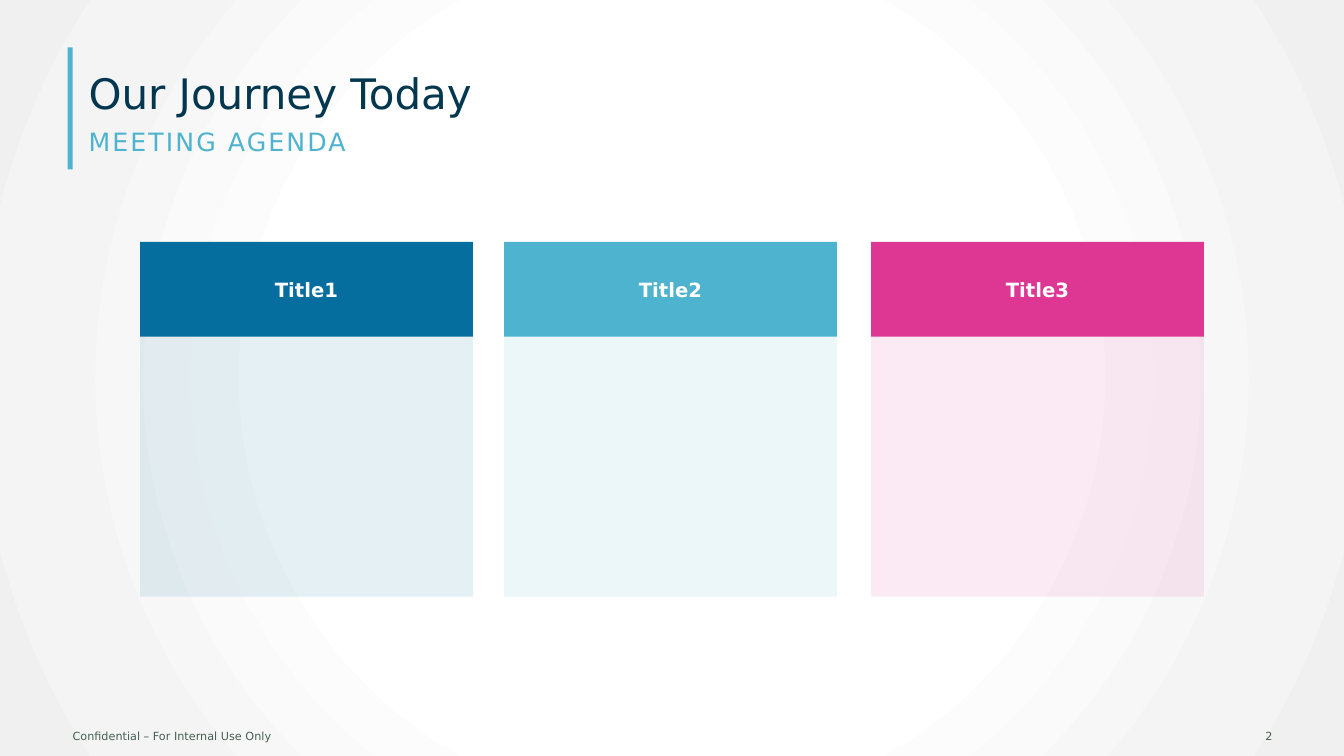
from dataclasses import dataclass

from lxml.etree import SubElement
from pptx import Presentation
from pptx.dml.color import RGBColor
from pptx.enum.shapes import MSO_SHAPE
from pptx.enum.text import MSO_ANCHOR, PP_ALIGN
from pptx.oxml.ns import qn
from pptx.shapes.autoshape import Shape
from pptx.slide import Slide
from pptx.text.text import TextFrame
from pptx.util import Inches, Pt

FONT = "DejaVu Sans"
WHITE = RGBColor(0xFF, 0xFF, 0xFF)
NAVY = RGBColor(0x03, 0x37, 0x50)
BLUE = RGBColor(0x06, 0x6E, 0x9F)
SKY = RGBColor(0x4E, 0xB3, 0xCF)
PINK = RGBColor(0xDD, 0x37, 0x93)
FOOTER_GREEN = RGBColor(0x45, 0x5F, 0x51)
BACKGROUND_STOPS = (
    (50, WHITE),
    (81, RGBColor(0xF4, 0xF4, 0xF4)),
    (99, RGBColor(0xF0, 0xF0, 0xF0)),
)

CARD_WIDTH = 3.3
HEADER_TOP, HEADER_HEIGHT = 2.4, 0.94
BODY_TOP, BODY_HEIGHT = 2.43, 3.49
BODY_OPACITY = 10


@dataclass(frozen=True)
class Box:
    left: float
    top: float
    width: float
    height: float


@dataclass(frozen=True)
class Label:
    text: str
    box: Box
    size: float
    color: RGBColor
    anchor: MSO_ANCHOR = MSO_ANCHOR.TOP
    align: PP_ALIGN = PP_ALIGN.LEFT
    left_inset: float = 0.1
    right_inset: float = 0.1
    line_spacing: float | None = None
    letter_spacing: float = 0


@dataclass(frozen=True)
class Card:
    title: str
    left: float
    color: RGBColor


LABELS = (
    Label("Our Journey Today", Box(0.78, 0.01, 12, 1.21), 30, NAVY,
          anchor=MSO_ANCHOR.BOTTOM, line_spacing=58),
    Label("MEETING AGENDA", Box(0.78, 1.2, 12, 0.49), 18, SKY, letter_spacing=1.5),
    Label("Confidential – For Internal Use Only", Box(0.67, 7.1, 4, 0.4), 8, FOOTER_GREEN,
          anchor=MSO_ANCHOR.MIDDLE, left_inset=0.05),
    Label("2", Box(11.85, 7.1, 0.82, 0.4), 8, FOOTER_GREEN, anchor=MSO_ANCHOR.MIDDLE,
          align=PP_ALIGN.RIGHT, left_inset=0.03, right_inset=0.05),
)
CARDS = (
    Card("Title1", 1.39, BLUE),
    Card("Title2", 5, SKY),
    Card("Title3", 8.64, PINK),
)


def set_radial_background(slide: Slide) -> None:
    fill = slide.background.fill
    fill.gradient()
    gradient = slide.background._cSld.find(".//" + qn("a:gradFill"))
    for child in list(gradient):
        gradient.remove(child)
    stops = SubElement(gradient, qn("a:gsLst"))
    for position, color in BACKGROUND_STOPS:
        stop = SubElement(stops, qn("a:gs"), pos=str(position * 1000))
        SubElement(stop, qn("a:srgbClr"), val=str(color))
    circle = SubElement(gradient, qn("a:path"), path="circle")
    SubElement(circle, qn("a:fillToRect"), l="50000", t="50000", r="50000", b="50000")


def write_text(frame: TextFrame, text: str, size: float, color: RGBColor,
               anchor: MSO_ANCHOR, align: PP_ALIGN, bold: bool = False) -> None:
    frame.text = text
    frame.word_wrap = True
    frame.vertical_anchor = anchor
    paragraph = frame.paragraphs[0]
    paragraph.alignment = align
    font = paragraph.runs[0].font
    font.name = FONT
    font.size = Pt(size)
    font.bold = bold
    font.color.rgb = color


def add_label(slide: Slide, label: Label) -> None:
    box = label.box
    frame = slide.shapes.add_textbox(
        Inches(box.left), Inches(box.top), Inches(box.width), Inches(box.height)
    ).text_frame
    write_text(frame, label.text, label.size, label.color, label.anchor, label.align)
    frame.margin_left = Inches(label.left_inset)
    frame.margin_right = Inches(label.right_inset)
    paragraph = frame.paragraphs[0]
    if label.line_spacing is not None:
        paragraph.line_spacing = Pt(label.line_spacing)
    if label.letter_spacing:
        properties = paragraph.runs[0].font._element
        properties.set("spc", str(round(label.letter_spacing * 100)))


def add_rectangle(slide: Slide, box: Box, color: RGBColor, opacity: int = 100) -> Shape:
    shape = slide.shapes.add_shape(
        MSO_SHAPE.RECTANGLE,
        Inches(box.left), Inches(box.top), Inches(box.width), Inches(box.height),
    )
    shape.shadow.inherit = False
    shape.line.fill.background()
    shape.fill.solid()
    shape.fill.fore_color.rgb = color
    if opacity < 100:
        fill_color = shape._element.spPr.find(qn("a:solidFill")).find(qn("a:srgbClr"))
        SubElement(fill_color, qn("a:alpha"), val=str(opacity * 1000))
    return shape


def add_card(slide: Slide, card: Card) -> None:
    body = Box(card.left, BODY_TOP, CARD_WIDTH, BODY_HEIGHT)
    add_rectangle(slide, body, card.color, BODY_OPACITY)
    header = Box(card.left, HEADER_TOP, CARD_WIDTH, HEADER_HEIGHT)
    shape = add_rectangle(slide, header, card.color)
    write_text(shape.text_frame, card.title, 14, WHITE,
               MSO_ANCHOR.MIDDLE, PP_ALIGN.CENTER, bold=True)


def main() -> None:
    presentation = Presentation()
    presentation.slide_width = Inches(13.33)
    presentation.slide_height = Inches(7.5)
    slide = presentation.slides.add_slide(presentation.slide_layouts[6])
    set_radial_background(slide)
    add_rectangle(slide, Box(0.67, 0.47, 0.05, 1.21), SKY)
    for label in LABELS:
        add_label(slide, label)
    for card in CARDS:
        add_card(slide, card)
    presentation.save("out.pptx")


if __name__ == "__main__":
    main()
